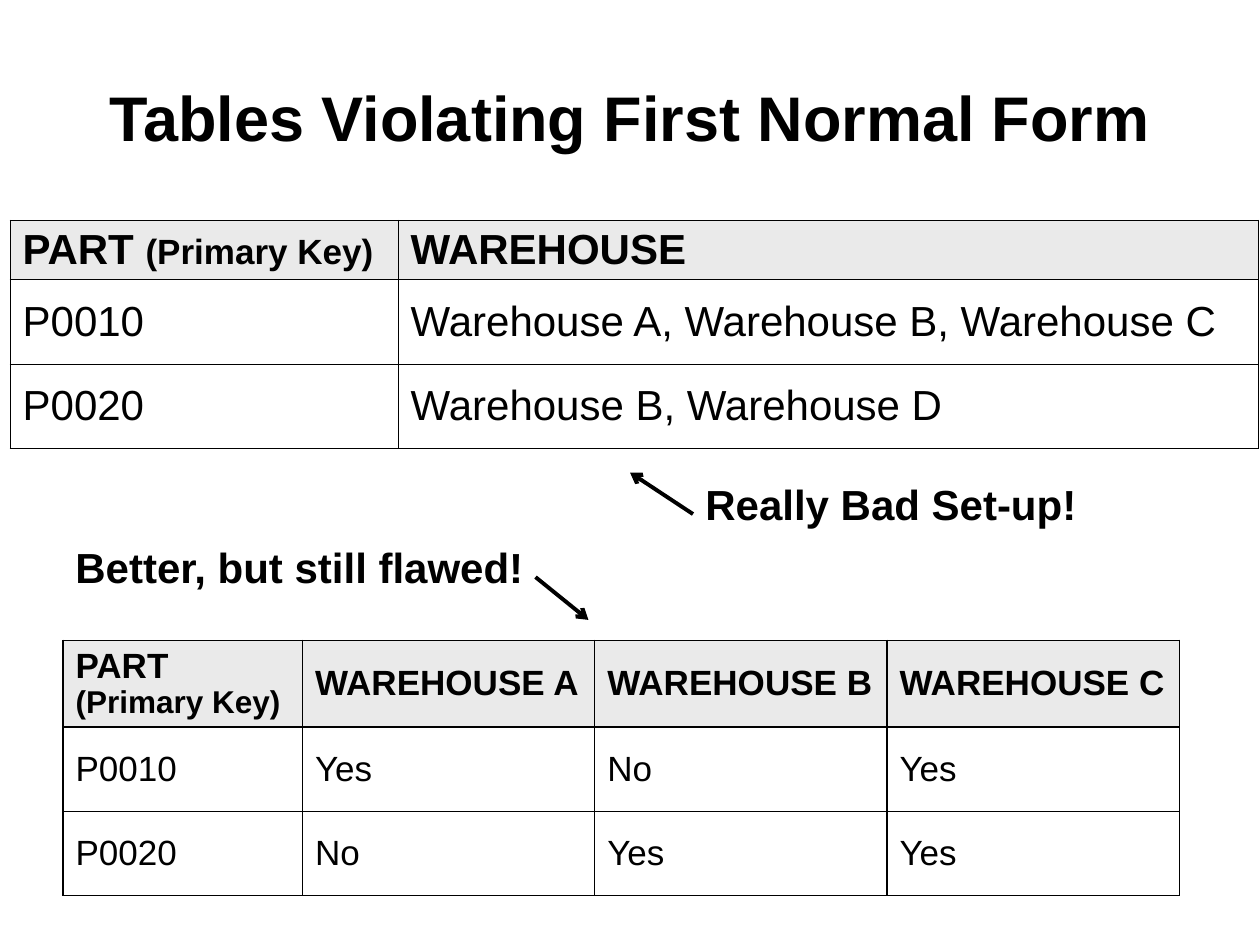
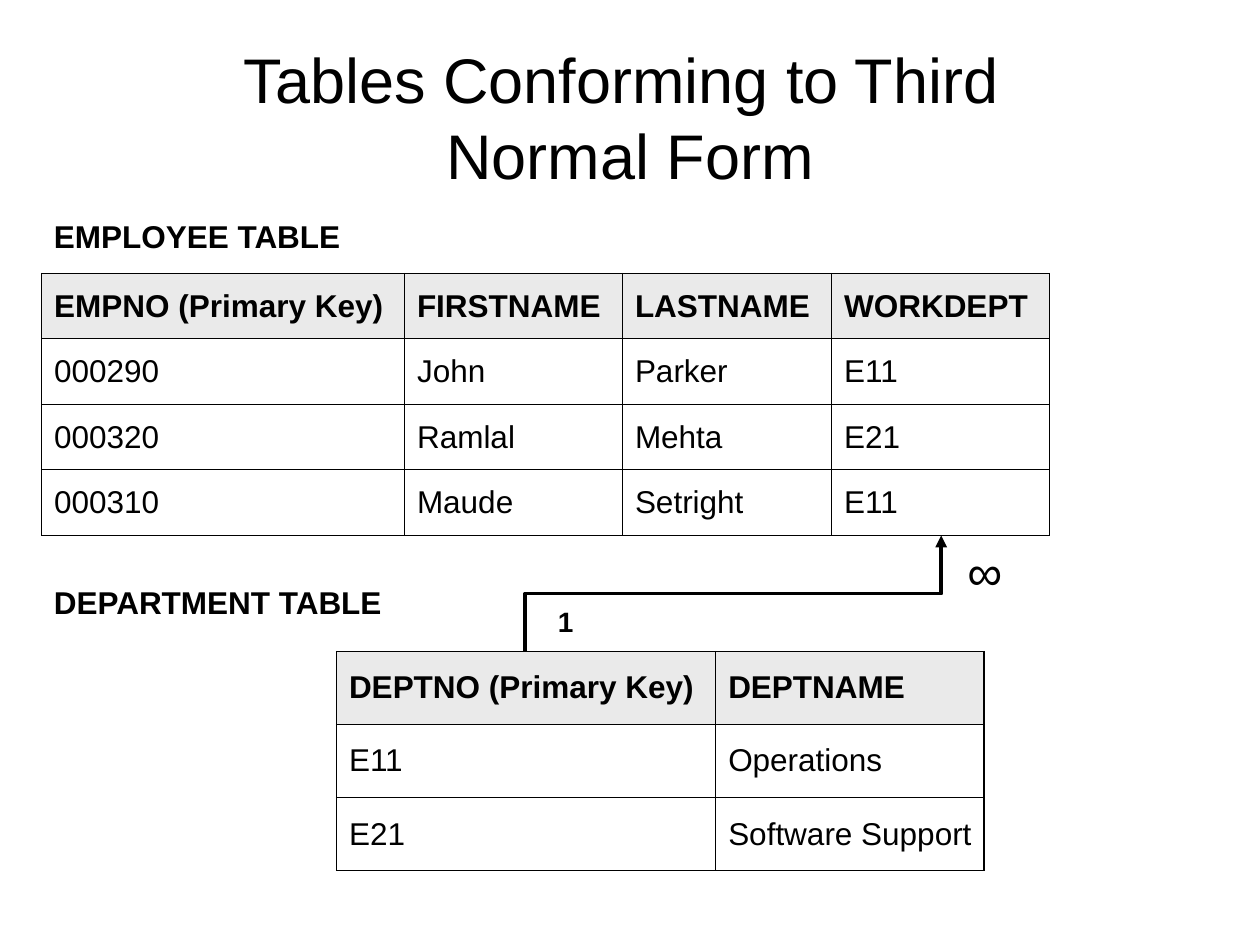
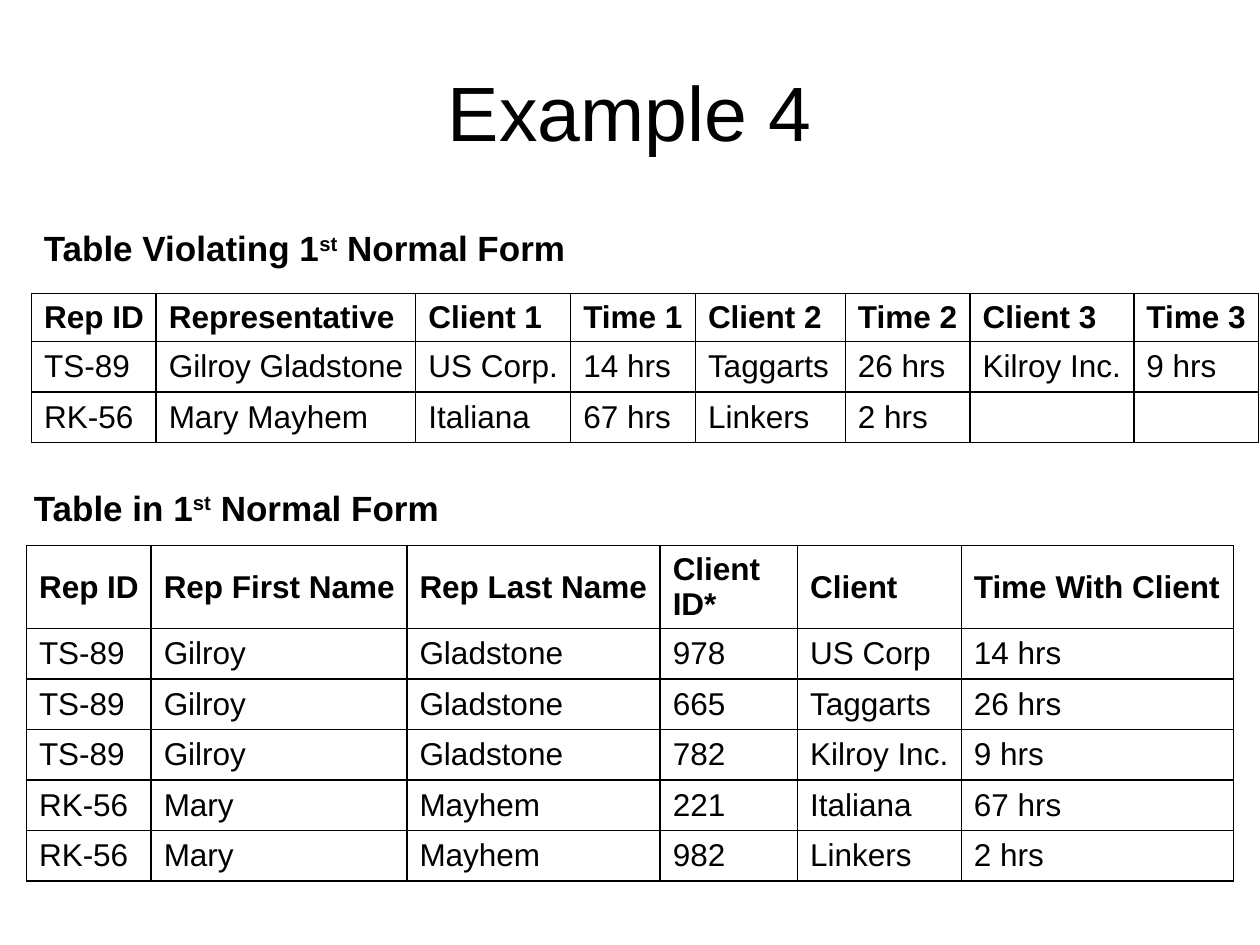
import dataclasses

import lxml.etree
import pptx
import pptx.dml.color
import pptx.enum.shapes
import pptx.enum.text
import pptx.oxml.ns
import pptx.util

Inches = pptx.util.Inches
Pt = pptx.util.Pt
qn = pptx.oxml.ns.qn
Anchor = pptx.enum.text.MSO_ANCHOR
Connector = pptx.enum.shapes.MSO_CONNECTOR


@dataclasses.dataclass(frozen=True)
class Theme:
    font: str = "Arial"
    ink: str = "000000"
    paper: str = "FFFFFF"
    header: str = "EAEAEA"
    title: int = 36
    title_large: int = 44
    symbol: int = 28
    large: int = 24
    medium: int = 20
    body: int = 18
    small: int = 16
    arrow_line: float = 2.25
    cell_margin_right: float = 0.05
    header_margin: float = 0.02


THEME = Theme()

# Text is a list of paragraphs; a paragraph is a string or a list of
# (text, run settings) pairs.
SUPERSCRIPT_ST = ("st", {"superscript": True})

SLIDES = [
    {
        "title": {"text": "Tables Violating First Normal Form", "top": 0.3,
                  "size": THEME.title, "bold": True},
        "tables": [
            {"at": (0.08, 1.75), "columns": [3.08, 6.83], "heights": [0.47, 0.67],
             "size": THEME.large, "header_anchor": Anchor.BOTTOM,
             "rows": [
                 [[[("PART ", {}), ("(Primary Key)", {"size": THEME.medium})]], "WAREHOUSE"],
                 ["P0010", "Warehouse A, Warehouse B, Warehouse C"],
                 ["P0020", "Warehouse B, Warehouse D"],
             ]},
            {"at": (0.5, 5.08), "columns": [1.9, 2.32, 2.32, 2.32], "heights": [0.69, 0.67],
             "size": THEME.medium,
             "rows": [
                 [["PART", [("(Primary Key)", {"size": THEME.body})]],
                  "WAREHOUSE A", "WAREHOUSE B", "WAREHOUSE C"],
                 ["P0010", "Yes", "No", "Yes"],
                 ["P0020", "No", "Yes", "Yes"],
             ]},
        ],
        "labels": [
            {"text": "Really Bad Set-up!", "box": (5.5, 3.75, 3.15, 0.5), "size": THEME.large},
            {"text": "Better, but still flawed!", "box": (0.5, 4.25, 3.77, 0.5),
             "size": THEME.large},
        ],
        "arrows": [((5.5, 4.08), (5, 3.75)), ((4.25, 4.58), (4.67, 4.92))],
    },
    {
        "title": {"text": "Tables Conforming to Third \nNormal Form", "top": 0.3,
                  "size": THEME.title},
        "tables": [
            {"at": (0.33, 2.17), "columns": [2.88, 1.73, 1.66, 1.73], "heights": [0.52, 0.52],
             "rows": [
                 ["EMPNO (Primary Key)", "FIRSTNAME", "LASTNAME", "WORKDEPT"],
                 ["000290", "John", "Parker", "E11"],
                 ["000320", "Ramlal", "Mehta", "E21"],
                 ["000310", "Maude", "Setright", "E11"],
             ]},
            {"at": (2.67, 5.17), "columns": [3.01, 2.13], "heights": [0.58, 0.58],
             "rows": [
                 ["DEPTNO (Primary Key)", "DEPTNAME"],
                 ["E11", "Operations"],
                 ["E21", "Software Support"],
             ]},
        ],
        "labels": [
            {"text": "EMPLOYEE TABLE", "box": (0.33, 1.67, 2.49, 0.4)},
            {"text": "DEPARTMENT TABLE", "box": (0.33, 4.58, 2.84, 0.4)},
            {"text": "1", "box": (4.33, 4.75, 0.32, 0.37), "size": THEME.small},
            {"text": "∞", "box": (7.58, 4.25, 0.48, 0.57), "size": THEME.symbol, "bold": False},
        ],
        "relations": [((4.17, 5.17), (7.47, 4.25))],
    },
    {
        "title": {"text": "Example 4", "top": 0.25, "size": THEME.title_large},
        "tables": [
            {"at": (0.25, 2.33), "columns": [0.99, 2.06, 1.23, 0.99, 1.19, 0.99, 1.3, 0.99],
             "heights": [0.38, 0.4], "header_fill": THEME.paper, "border": 1,
             "rows": [
                 ["Rep ID", "Representative", "Client 1", "Time 1",
                  "Client 2", "Time 2", "Client 3", "Time 3"],
                 ["TS-89", "Gilroy Gladstone", "US Corp.", "14 hrs",
                  "Taggarts", "26 hrs", "Kilroy Inc.", "9 hrs"],
                 ["RK-56", "Mary Mayhem", "Italiana", "67 hrs", "Linkers", "2 hrs", "", ""],
             ]},
            {"at": (0.21, 4.33), "columns": [0.99, 2.03, 2.01, 1.09, 1.3, 2.16],
             "heights": [0.66, 0.4], "header_fill": THEME.paper, "border": 1,
             "rows": [
                 ["Rep ID", "Rep First Name", "Rep Last Name", "Client ID*", "Client",
                  "Time With Client"],
                 ["TS-89", "Gilroy", "Gladstone", "978", "US Corp", "14 hrs"],
                 ["TS-89", "Gilroy", "Gladstone", "665", "Taggarts", "26 hrs"],
                 ["TS-89", "Gilroy", "Gladstone", "782", "Kilroy Inc.", "9 hrs"],
                 ["RK-56", "Mary", "Mayhem", "221", "Italiana", "67 hrs"],
                 ["RK-56", "Mary", "Mayhem", "982", "Linkers", "2 hrs"],
             ]},
        ],
        "labels": [
            {"text": [[("Table in 1", {}), SUPERSCRIPT_ST, (" Normal Form", {})]],
             "box": (0.17, 3.81, 3.45, 0.43), "size": THEME.medium},
            {"text": [[("Table Violating 1", {}), SUPERSCRIPT_ST, (" Normal Form", {})]],
             "box": (0.25, 1.75, 4.37, 0.43), "size": THEME.medium},
        ],
    },
]


def color(value):
    return pptx.dml.color.RGBColor.from_string(value)


def write_text(text_frame, text, size, bold):
    paragraphs = [text] if isinstance(text, str) else text
    for index, content in enumerate(paragraphs):
        paragraph = text_frame.add_paragraph() if index else text_frame.paragraphs[0]
        if isinstance(content, str):
            paragraph.text = content
        else:
            for words, settings in content:
                run = paragraph.add_run()
                run.text = words
                if "size" in settings:
                    run.font.size = Pt(settings["size"])
                if settings.get("superscript"):
                    run.font._element.set("baseline", "30000")
        font = paragraph.font
        font.name, font.size, font.bold = THEME.font, Pt(size), bold
        font.color.rgb = color(THEME.ink)


def add_title(slide, text, top, size, bold=False):
    shape = slide.shapes.add_textbox(Inches(0.5), Inches(top), Inches(9), Inches(1.25))
    text_frame = shape.text_frame
    text_frame.word_wrap = True
    text_frame.vertical_anchor = Anchor.MIDDLE
    write_text(text_frame, text, size, bold)
    text_frame.paragraphs[0].alignment = pptx.enum.text.PP_ALIGN.CENTER


def add_label(slide, text, box, size=THEME.body, bold=True):
    shape = slide.shapes.add_textbox(*map(Inches, box))
    shape.text_frame.word_wrap = False
    shape.text_frame.auto_size = pptx.enum.text.MSO_AUTO_SIZE.SHAPE_TO_FIT_TEXT
    write_text(shape.text_frame, text, size, bold)


def add_borders(cell, width):
    properties = cell._tc.get_or_add_tcPr()
    for index, side in enumerate(("a:lnL", "a:lnR", "a:lnT", "a:lnB")):
        line = lxml.etree.Element(qn(side), w=str(Pt(width)))
        fill = lxml.etree.SubElement(line, qn("a:solidFill"))
        lxml.etree.SubElement(fill, qn("a:srgbClr"), val=THEME.ink)
        properties.insert(index, line)


def add_grid(slide, at, columns, heights, rows, size=THEME.body, border=0.75,
             header_fill=THEME.header, header_anchor=Anchor.MIDDLE):
    """Add a table; heights holds the header height and the body row height."""
    header_height, row_height = heights
    row_heights = [header_height] + [row_height] * (len(rows) - 1)
    frame = slide.shapes.add_table(
        len(rows), len(columns), Inches(at[0]), Inches(at[1]),
        Inches(sum(columns)), Inches(sum(row_heights)))
    table = frame.table
    table.first_row = table.horz_banding = False
    for column, width in zip(table.columns, columns):
        column.width = Inches(width)
    for row_index, (row, height, texts) in enumerate(zip(table.rows, row_heights, rows)):
        row.height = Inches(height)
        is_header = row_index == 0
        for cell, text in zip(row.cells, texts):
            write_text(cell.text_frame, text, size, is_header)
            cell.vertical_anchor = header_anchor if is_header else Anchor.MIDDLE
            cell.margin_right = Inches(THEME.cell_margin_right)
            if is_header:
                cell.margin_top = Inches(THEME.header_margin)
                if header_anchor == Anchor.MIDDLE:
                    cell.margin_bottom = Inches(THEME.header_margin)
            cell.fill.solid()
            cell.fill.fore_color.rgb = color(header_fill if is_header else THEME.paper)
            add_borders(cell, border)


def add_arrow(slide, start, end, kind=Connector.STRAIGHT, head="arrow"):
    arrow = slide.shapes.add_connector(kind, *map(Inches, (*start, *end)))
    arrow.line.color.rgb = color(THEME.ink)
    arrow.line.width = Pt(THEME.arrow_line)
    lxml.etree.SubElement(arrow.line._get_or_add_ln(), qn("a:tailEnd"), type=head)
    lxml.etree.SubElement(arrow._element.spPr, qn("a:effectLst"))
    return arrow


def add_relation(slide, start, end):
    """Add an elbow arrow that leaves upwards: a connector turned by 270 degrees."""
    center_x, center_y = (start[0] + end[0]) / 2, (start[1] + end[1]) / 2
    half_width, half_height = (start[1] - end[1]) / 2, (end[0] - start[0]) / 2
    arrow = add_arrow(slide, (center_x - half_width, center_y - half_height),
                      (center_x + half_width, center_y + half_height),
                      Connector.ELBOW, "triangle")
    arrow._element.spPr.find(qn("a:xfrm")).set("rot", str(270 * 60000))


def main():
    presentation = pptx.Presentation()
    presentation.slide_width, presentation.slide_height = Inches(10), Inches(7.5)
    for content in SLIDES:
        slide = presentation.slides.add_slide(presentation.slide_layouts[6])
        add_title(slide, **content["title"])
        for table in content["tables"]:
            add_grid(slide, **table)
        for label in content["labels"]:
            add_label(slide, **label)
        for start, end in content.get("arrows", []):
            add_arrow(slide, start, end)
        for start, end in content.get("relations", []):
            add_relation(slide, start, end)
    presentation.save("out.pptx")


if __name__ == "__main__":
    main()
